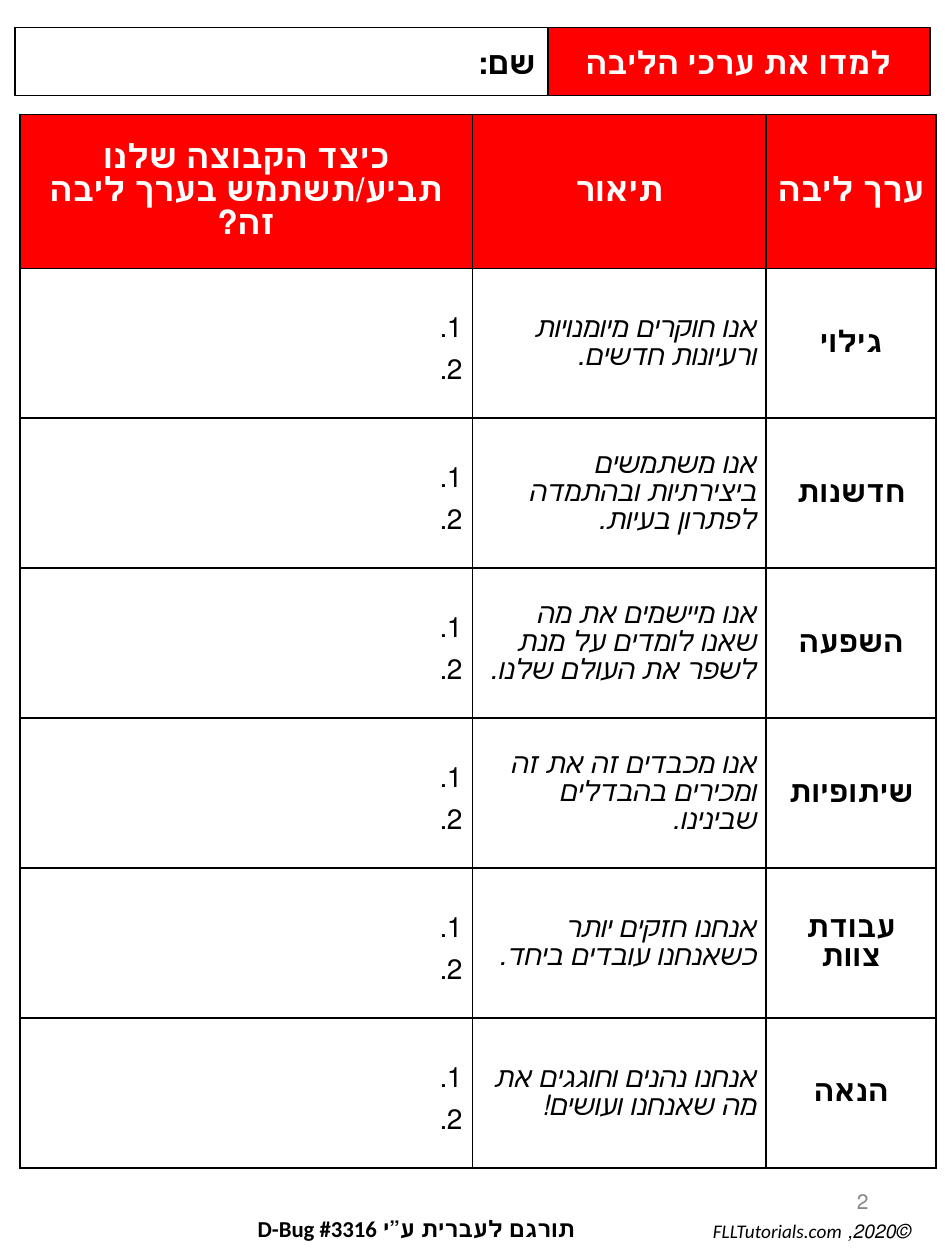
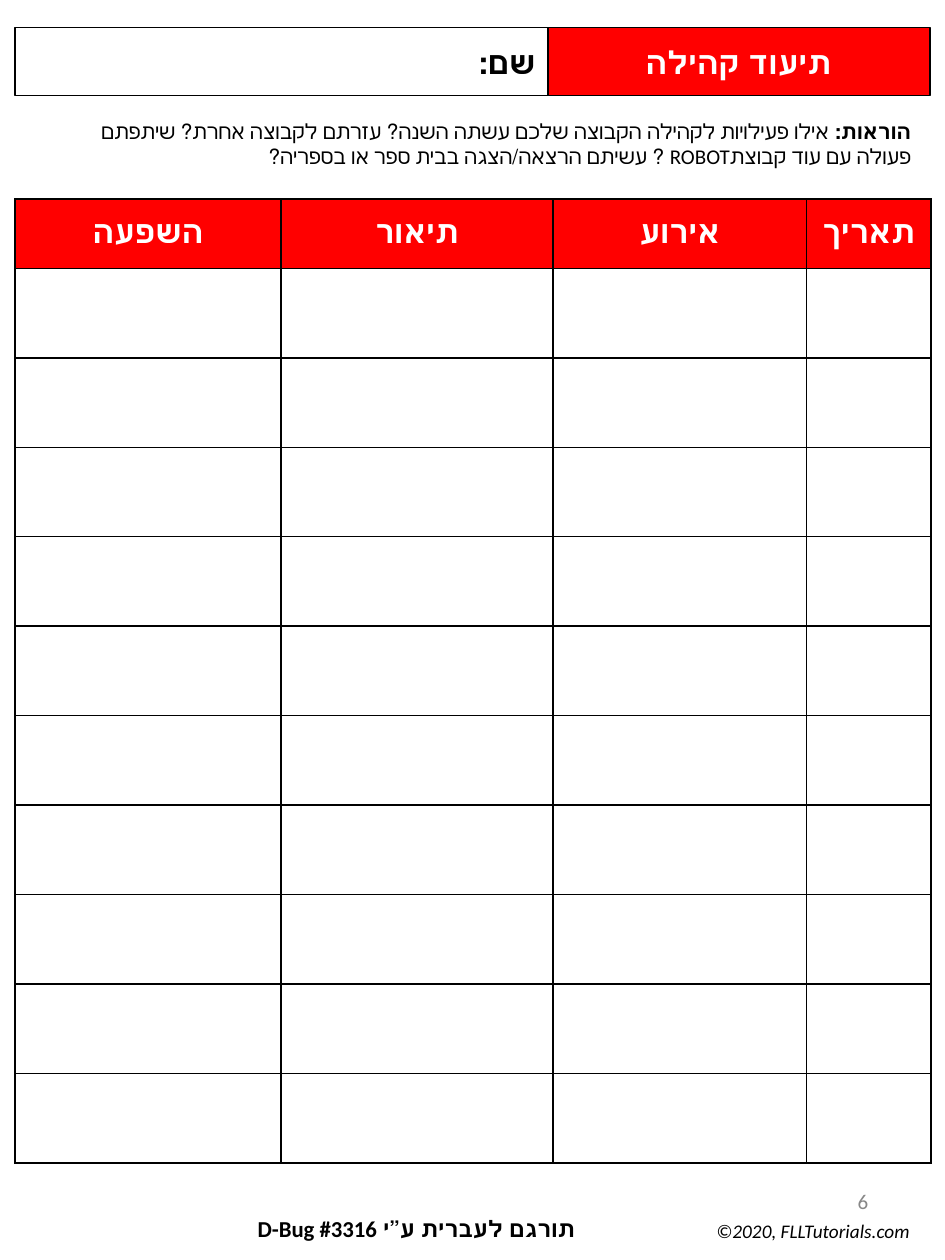
import lxml.etree
import pptx
import pptx.dml.color
import pptx.enum.shapes
import pptx.enum.text
import pptx.oxml.ns
import pptx.util

RED = pptx.dml.color.RGBColor(0xFF, 0x00, 0x00)
WHITE = pptx.dml.color.RGBColor(0xFF, 0xFF, 0xFF)
BLACK = pptx.dml.color.RGBColor(0x00, 0x00, 0x00)
GREY = pptx.dml.color.RGBColor(0x88, 0x88, 0x88)

EMU_PER_PX = 9144
ALIGN = pptx.enum.text.PP_ALIGN
ANCHOR = pptx.enum.text.MSO_ANCHOR
TITLE_ONLY = 5

BAND = dict(name="Calibri", size=18, bold=True)
CELL = dict(name="Arial", size=16, color=BLACK)
VALUE_HEAD = dict(CELL, size=19, bold=True, color=WHITE)
VALUE_NAME = dict(CELL, size=17, bold=True)
DESCRIPTION = dict(CELL, italic=True)
ANSWER = dict(CELL, name="Calibri")
LOG_HEAD = dict(VALUE_HEAD, size=18)
INSTRUCTION = dict(name="Calibri", size=12, color=BLACK)
NUMBER = dict(INSTRUCTION, color=GREY)
COPYRIGHT = dict(INSTRUCTION, size=11, italic=True)
TRANSLATOR = dict(INSTRUCTION, size=13, bold=True)

CORE_VALUES = [
    ("גילוי", "אנו חוקרים מיומנויות ורעיונות חדשים."),
    ("חדשנות", "אנו משתמשים ביצירתיות ובהתמדה לפתרון בעיות."),
    ("השפעה", "אנו מיישמים את מה שאנו לומדים על מנת לשפר את העולם שלנו."),
    ("שיתופיות", "אנו מכבדים זה את זה ומכירים בהבדלים שבינינו."),
    ("עבודת צוות", "אנחנו חזקים יותר כשאנחנו עובדים ביחד."),
    ("הנאה", "אנחנו נהנים וחוגגים את מה שאנחנו ועושים!"),
]
VALUE_HEADINGS = ["כיצד הקבוצה שלנו תביע/תשתמש בערך ליבה זה?", "תיאור", "ערך ליבה"]
LOG_HEADINGS = ["השפעה", "תיאור", "אירוע", "תאריך"]
LOG_ROWS = 10


def px(n):
    return pptx.util.Emu(n * EMU_PER_PX)


class Worksheet:
    def __init__(self, prs):
        self.prs = prs
        self.s = None
        self.rtl = True

    def start(self, title, number, copyright_left, rtl):
        self.rtl = rtl
        self.s = self.prs.slides.add_slide(self.prs.slide_layouts[TITLE_ONLY])
        self.title(title)
        self.name_band()
        self.footer(number, copyright_left)

    def paragraph(self, p, runs, align, rtl=True):
        p.alignment = align
        if rtl:
            p._p.get_or_add_pPr().set("rtl", "1")
        for text, style in runs:
            r = p.add_run()
            r.text = text
            values = dict(style)
            r.font.color.rgb = values.pop("color")
            values["size"] = pptx.util.Pt(values["size"])
            for key, value in values.items():
                setattr(r.font, key, value)

    def band(self, sp, text, color, fill, align, rtl):
        sp.fill.solid()
        sp.fill.fore_color.rgb = fill
        sp.line.color.rgb = BLACK
        sp.line.width = pptx.util.Pt(0.75)
        tf = sp.text_frame
        values = dict(word_wrap=True, vertical_anchor=ANCHOR.MIDDLE,
                      auto_size=pptx.enum.text.MSO_AUTO_SIZE.NONE)
        for key, value in values.items():
            setattr(tf, key, value)
        self.paragraph(tf.paragraphs[0], [(text, dict(BAND, color=color))], align, rtl)

    def title(self, text):
        sp = self.s.shapes.title
        box = dict(left=434, top=22, width=304, height=54)
        for key, value in box.items():
            setattr(sp, key, px(value))
        self.band(sp, text, WHITE, RED, ALIGN.CENTER, self.rtl)

    def name_band(self):
        sp = self.s.shapes.add_shape(pptx.enum.shapes.MSO_SHAPE.RECTANGLE,
                                     px(12), px(22), px(423), px(54))
        sp.shadow.inherit = False
        self.band(sp, "שם:", BLACK, WHITE, ALIGN.RIGHT, True)

    def text(self, x, y, w, h, runs, rtl=True, anchor=ANCHOR.TOP):
        tf = self.s.shapes.add_textbox(px(x), px(y), px(w), px(h)).text_frame
        tf.word_wrap = True
        tf.vertical_anchor = anchor
        self.paragraph(tf.paragraphs[0], runs, ALIGN.RIGHT, rtl)

    def footer(self, number, copyright_left):
        self.text(530, 927, 169, 53, [(number, NUMBER)], self.rtl, ANCHOR.MIDDLE)
        self.text(copyright_left, 963, 732 - copyright_left, 28,
                  [("©2020, FLLTutorials.com", COPYRIGHT)], self.rtl)
        self.text(46, 959, 420, 28, [("תורגם לעברית ע”י D-Bug #3316", TRANSLATOR)])

    def table(self, x, y, widths, heights):
        frame = self.s.shapes.add_table(len(heights), len(widths), px(x), px(y),
                                        px(sum(widths)), px(sum(heights)))
        table = frame.table
        table.first_row = False
        table.horz_banding = False
        for col, width in zip(table.columns, widths):
            col.width = px(width)
        for row, height in zip(table.rows, heights):
            row.height = px(height)
        for i in range(len(heights)):
            for j in range(len(widths)):
                self.cell_style(table.cell(i, j), WHITE if i else RED)
        return table

    def cell_style(self, cell, fill):
        qn = pptx.oxml.ns.qn
        values = dict(margin_left=px(8), margin_right=px(8), margin_top=px(7),
                      margin_bottom=px(7), vertical_anchor=ANCHOR.MIDDLE)
        for key, value in values.items():
            setattr(cell, key, value)
        tcPr = cell._tc.get_or_add_tcPr()
        for side in ("lnL", "lnR", "lnT", "lnB"):
            ln = lxml.etree.SubElement(tcPr, qn("a:" + side), w=str(pptx.util.Pt(1)))
            solid = lxml.etree.SubElement(ln, qn("a:solidFill"))
            lxml.etree.SubElement(solid, qn("a:srgbClr"), val=str(BLACK))
        cell.fill.solid()
        cell.fill.fore_color.rgb = fill

    def cell(self, cell, text, style, align=ALIGN.CENTER):
        self.paragraph(cell.text_frame.paragraphs[0], [(text, style)], align, self.rtl)

    def answers(self, cell, style):
        tf = cell.text_frame
        for i, text in enumerate(("1.", "2.")):
            p = tf.add_paragraph() if i else tf.paragraphs[0]
            p.level = 5
            p.line_spacing = 1.5
            for key in ("marL", "marR", "indent"):
                p._p.get_or_add_pPr().set(key, "0")
            self.paragraph(p, [(text, style)], ALIGN.RIGHT)


def core_values(sheet):
    sheet.start("למדו את ערכי הליבה", "2", 511, rtl=True)
    table = sheet.table(16, 91, [359, 233, 135], [122] + [119] * len(CORE_VALUES))
    for j, heading in enumerate(VALUE_HEADINGS):
        sheet.cell(table.cell(0, j), heading, VALUE_HEAD)
    for i, (name, description) in enumerate(CORE_VALUES, 1):
        sheet.answers(table.cell(i, 0), CELL if i == len(CORE_VALUES) else ANSWER)
        sheet.cell(table.cell(i, 1), description, DESCRIPTION, ALIGN.RIGHT)
        sheet.cell(table.cell(i, 2), name, VALUE_NAME)


def community_log(sheet):
    sheet.start("תיעוד קהילה", "6", 519, rtl=False)
    sheet.text(35, 89, 698, 40, [
        ("הוראות: ", dict(INSTRUCTION, bold=True)),
        ("אילו פעילויות לקהילה הקבוצה שלכם עשתה השנה? עזרתם לקבוצה אחרת? "
         "שיתפתם פעולה עם עוד קבוצתROBOT ? "
         "עשיתם הרצאה/הצגה בבית ספר או בספריה?", dict(INSTRUCTION, bold=False)),
    ])
    table = sheet.table(12, 158, [211, 216, 201, 99], [55] + [71] * LOG_ROWS)
    for j, heading in enumerate(LOG_HEADINGS):
        sheet.cell(table.cell(0, j), heading, LOG_HEAD)


def main():
    prs = pptx.Presentation()
    prs.slide_width = px(750)
    prs.slide_height = px(1000)
    sheet = Worksheet(prs)
    core_values(sheet)
    community_log(sheet)
    prs.save("out.pptx")


if __name__ == "__main__":
    main()
